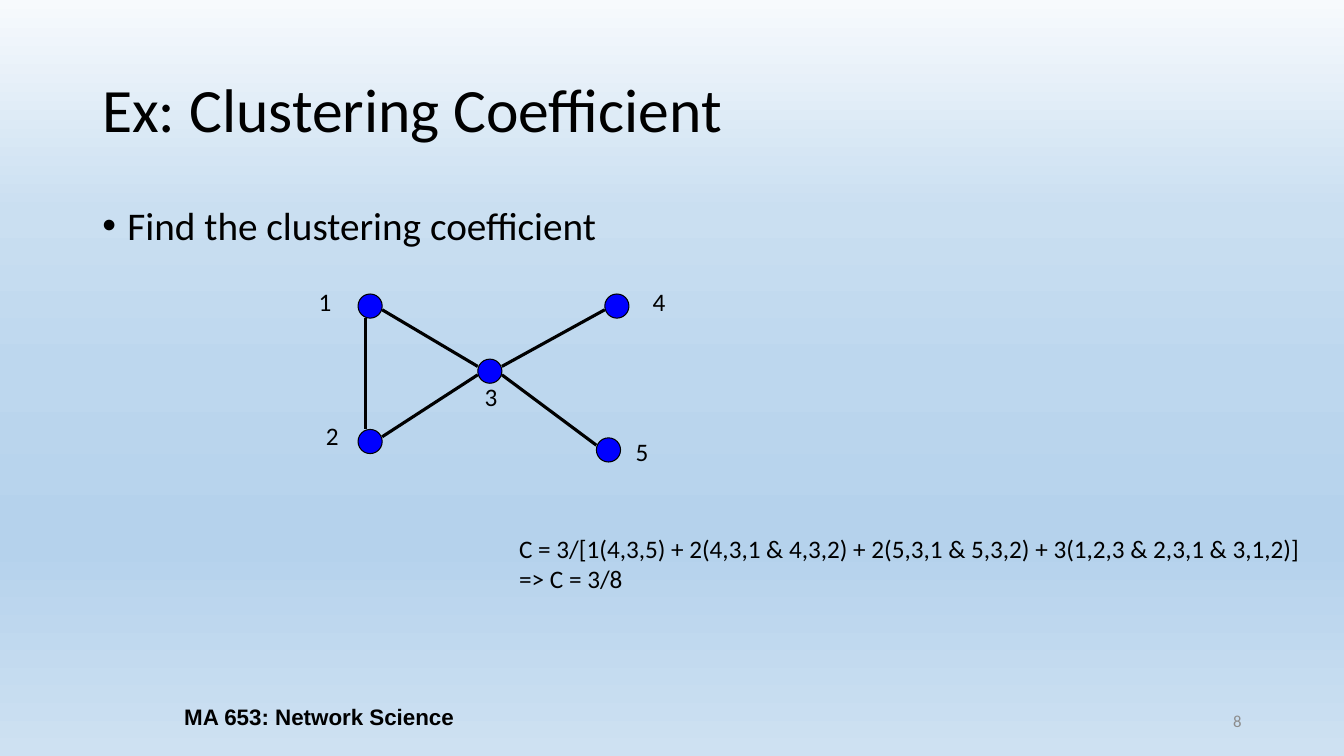
from lxml.etree import SubElement as Sub
from pptx import Presentation
from pptx.dml.color import RGBColor as RGB
from pptx.enum.shapes import MSO_CONNECTOR as Link, MSO_SHAPE as Kind
from pptx.enum.text import MSO_ANCHOR as Anchor, MSO_AUTO_SIZE as Fit, PP_ALIGN as Align
from pptx.oxml.ns import qn
from pptx.util import Emu, Pt

SCALE = 9525
DOT = 23
NODES = {"1": (341, 280), "2": (341, 409), "3": (455, 342), "4": (576, 280), "5": (568, 417)}
TAGS = {"1": (294, 268), "2": (301, 396), "3": (452, 358), "4": (612, 268), "5": (596, 411)}
EDGES = ["13", "12", "23", "34", "35"]
STOPS = [(0, "F7FAFD"), (28, "CADFF1"), (49, "BDD7EE"), (71, "B5D2EC"), (72, "B5D2EC"), (100, "CEE1F2")]


def px(*nums):
    """Turn pixel lengths into EMU."""
    return [Emu(n * SCALE) for n in nums]


def color(code):
    """Turn a hex string into a colour."""
    return RGB.from_string(code)


def paint(slide):
    """Fill the background with the vertical gradient."""
    fill = slide.background.fill
    fill.gradient()
    fill.gradient_angle = 270
    stops = slide.element.find(".//" + qn("a:gsLst"))
    stops.clear()
    for pos, code in STOPS:
        stop = Sub(stops, qn("a:gs"), pos=str(pos * 1000))
        Sub(stop, qn("a:srgbClr"), val=code)


def text(slide, box, lines, size, font="Calibri", code="000000", bold=False,
         align=Align.LEFT, anchor=Anchor.TOP, wrap=True, grow=False, space=1.0, bullet=False):
    """Add a text box with one paragraph for each line."""
    frame = slide.shapes.add_textbox(*px(*box)).text_frame
    frame.word_wrap = wrap
    frame.auto_size = Fit.SHAPE_TO_FIT_TEXT if grow else Fit.NONE
    frame.vertical_anchor = anchor
    for i, line in enumerate(lines):
        para = frame.add_paragraph() if i else frame.paragraphs[0]
        para.alignment = align
        para.line_spacing = space
        if bullet:
            props = para._p.get_or_add_pPr()
            props.set("marL", str(24 * SCALE))
            props.set("indent", str(-24 * SCALE))
            Sub(props, qn("a:buFont"), typeface="Arial")
            Sub(props, qn("a:buChar"), char="•")
        run = para.add_run()
        run.text = line
        run.font.name = font
        run.font.size = Pt(size)
        run.font.bold = bold
        run.font.color.rgb = color(code)


def edge(slide, start, end):
    """Draw a line between the facing sides of two nodes."""
    (x1, y1), (x2, y2) = NODES[start], NODES[end]
    if x1 == x2:
        ends = x1 + 7, y1 + DOT, x2 + 7, y2
    else:
        out, into = (15, 7) if y2 > y1 else (7, 15)
        ends = x1 + DOT, y1 + out, x2, y2 + into
    line = slide.shapes.add_connector(Link.STRAIGHT, *px(*ends))
    line.line.color.rgb = color("000000")
    line.line.width = Pt(2.25)
    Sub(line._element.spPr, qn("a:effectLst"))


def node(slide, name):
    """Draw a node of the graph."""
    dot = slide.shapes.add_shape(Kind.OVAL, *px(*NODES[name], DOT, DOT))
    dot.shadow.inherit = False
    dot.fill.solid()
    dot.fill.fore_color.rgb = color("0000FF")
    dot.line.color.rgb = color("000000")
    dot.line.width = Pt(0.75)


def main():
    """Build the slide and save it."""
    deck = Presentation()
    deck.slide_width, deck.slide_height = px(1280, 720)
    slide = deck.slides.add_slide(deck.slide_layouts[6])
    paint(slide)
    text(slide, (88, 38, 1104, 139), ["Ex: Clustering Coefficient"], 44,
         anchor=Anchor.MIDDLE, space=0.9)
    text(slide, (88, 192, 1104, 457), ["Find the clustering coefficient"], 28,
         space=0.9, bullet=True)
    text(slide, (904, 667, 288, 38), ["8"], 12, code="8C8C8C",
         align=Align.RIGHT, anchor=Anchor.MIDDLE)
    text(slide, (88, 663, 432, 38), ["MA 653: Network Science"], 16, font="Arial", bold=True,
         align=Align.CENTER, anchor=Anchor.MIDDLE)
    for start, end in EDGES:
        edge(slide, start, end)
    for name in NODES:
        node(slide, name)
    for name, spot in TAGS.items():
        text(slide, (*spot, 32, 38), [name], 18, wrap=False, grow=True)
    text(slide, (485, 503, 780, 68),
         ["C = 3/[1(4,3,5) + 2(4,3,1 & 4,3,2) + 2(5,3,1 & 5,3,2) + 3(1,2,3 & 2,3,1 & 3,1,2)]",
          "=> C = 3/8"], 18, grow=True)
    deck.save("out.pptx")


if __name__ == "__main__":
    main()
